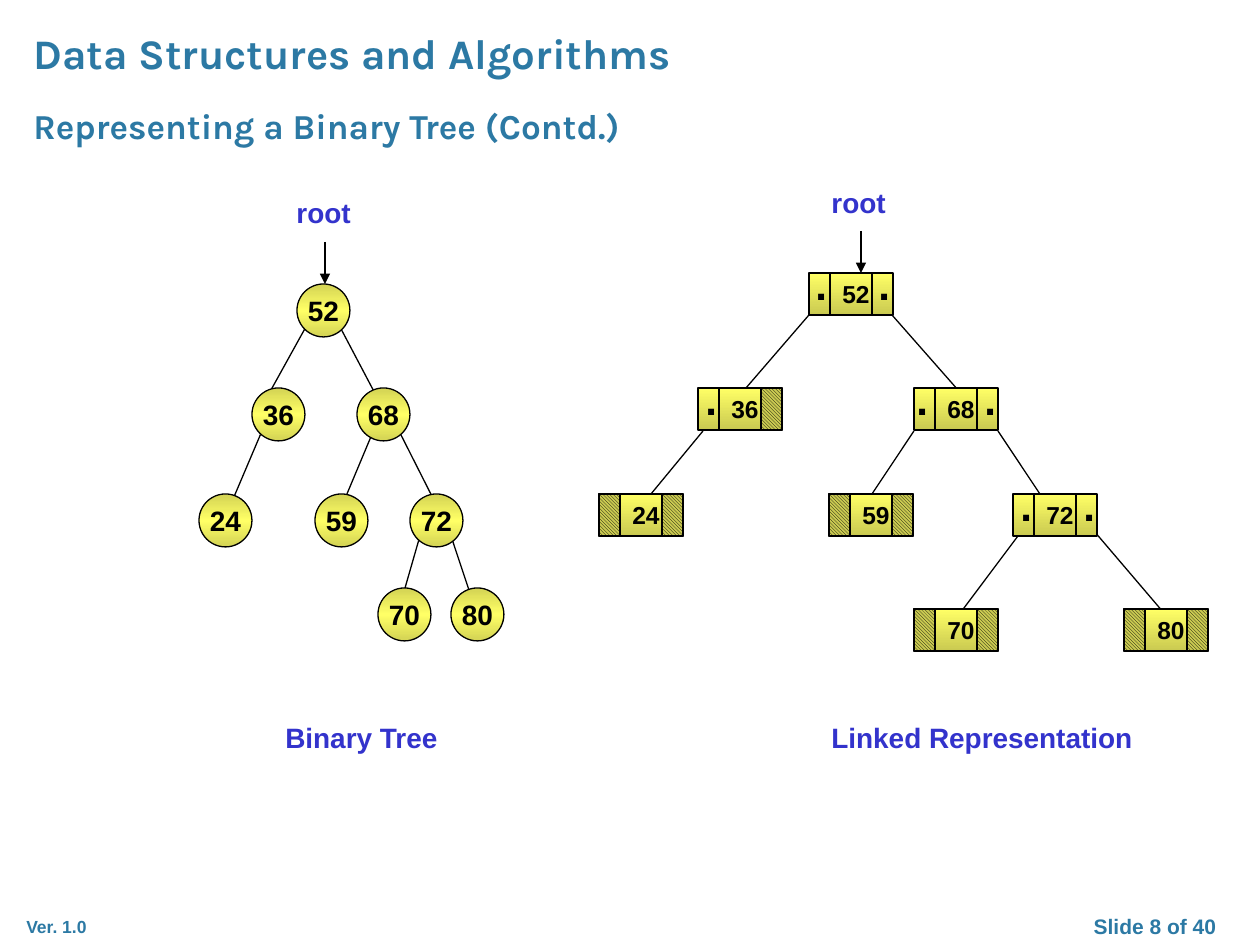
from typing import NamedTuple

from lxml import etree
from pptx import Presentation
from pptx import util as u
from pptx.dml.color import RGBColor
from pptx.enum import dml, shapes, text
from pptx.oxml.ns import qn

PX = 914400 // 126
BLACK, TEAL, BLUE = "000000", "2C79A4", "3333CC"
RECORD_FILL = ((0, "FFFF66"), (100, "CACA51"))
CIRCLE_FILL = ((0, "D3D354"), (50, "FFFF66"), (100, "D3D354"))
CIRCLE, RECORD_W, RECORD_H, FIELD = 53, 84, 42, 21


class Node(NamedTuple):
    """A tree node drawn as a circle."""
    value: str
    x: int
    y: int


class Record(NamedTuple):
    """A linked node; links holds a dot offset per side, None when null."""
    value: str
    x: int
    y: int
    left: int | None = None
    right: int | None = None


class Edge(NamedTuple):
    """A straight line between two points."""
    x1: int
    y1: int
    x2: int
    y2: int
    arrow: bool = False


class Label(NamedTuple):
    """A piece of standalone text."""
    text: str
    x: int
    y: int
    w: int
    h: int
    size: int
    color: str = BLUE
    font: str = "Arial"
    align: text.PP_ALIGN = text.PP_ALIGN.LEFT


NODES = [
    Node("52", 297, 284), Node("36", 252, 388), Node("68", 357, 388),
    Node("24", 199, 494), Node("59", 315, 494), Node("72", 410, 494),
    Node("70", 378, 588), Node("80", 451, 588),
]
RECORDS = [
    Record("52", 809, 273, -6, 57), Record("36", 698, 388, -5),
    Record("68", 914, 388, -10, 58), Record("24", 599, 494),
    Record("59", 829, 494), Record("72", 1013, 494, -5, 58),
    Record("70", 914, 609), Record("80", 1124, 609),
]
EDGES = [
    Edge(307, 325, 266, 399), Edge(339, 325, 378, 399),
    Edge(262, 431, 231, 504), Edge(378, 420, 347, 494),
    Edge(399, 431, 441, 514), Edge(420, 536, 399, 609),
    Edge(451, 536, 472, 599),
    Edge(809, 315, 746, 388), Edge(892, 315, 966, 399),
    Edge(703, 431, 651, 494), Edge(914, 431, 872, 494),
    Edge(998, 431, 1040, 494), Edge(1018, 536, 955, 620),
    Edge(1071, 504, 1187, 640),
]
ROOT_ARROWS = [Edge(325, 242, 325, 284, True), Edge(861, 231, 861, 273, True)]
LABELS = [
    Label("Data Structures and Algorithms", 21, 21, 1050, 64, 24, TEAL, "Karla"),
    Label("Representing a Binary Tree (Contd.)", 21, 98, 945, 54, 20, TEAL, "Karla"),
    Label("root", 284, 189, 84, 47, 16),
    Label("root", 819, 179, 84, 47, 16),
    Label("Binary Tree", 273, 714, 199, 42, 16),
    Label("Linked Representation", 819, 714, 357, 42, 16),
    Label("Ver. 1.0", 14, 910, 100, 34, 10, TEAL),
    Label("Slide 8 of 40", 1050, 907, 210, 38, 12, TEAL, align=text.PP_ALIGN.CENTER),
]


def rgb(color: str) -> RGBColor:
    """Turn a hex string into a colour."""
    return RGBColor.from_string(color)


def write(sp, words: str, *, size: int, color: str = BLACK, font: str = "Arial",
          align=text.PP_ALIGN.LEFT, anchor=text.MSO_ANCHOR.TOP, wrap: bool = False):
    """Put one bold formatted run into a shape."""
    tf = sp.text_frame
    tf.word_wrap, tf.vertical_anchor = wrap, anchor
    p = tf.paragraphs[0]
    p.alignment = align
    r = p.add_run()
    r.text = words
    r.font.size, r.font.bold, r.font.name = u.Pt(size), True, font
    r.font.color.rgb = rgb(color)


def add_text(s, words: str, x: int, y: int, w: int, h: int, **style):
    """Add a text box."""
    write(s.shapes.add_textbox(x * PX, y * PX, w * PX, h * PX), words, **style)


def add_line(s, edge: Edge):
    """Add a thin black line, with an arrowhead if asked for."""
    ends = [v * PX for v in edge[:4]]
    line = s.shapes.add_connector(shapes.MSO_CONNECTOR.STRAIGHT, *ends)
    line.line.color.rgb = rgb(BLACK)
    line.line.width = u.Pt(0.75)
    if edge.arrow:
        etree.SubElement(line.line._get_or_add_ln(), qn("a:tailEnd"), type="triangle")
    etree.SubElement(line._element.spPr, qn("a:effectLst"))


def add_box(s, kind, x: int, y: int, w: int, h: int):
    """Add a preset shape with a thin black outline."""
    sp = s.shapes.add_shape(kind, x * PX, y * PX, w * PX, h * PX)
    sp.shadow.inherit = False
    sp.line.color.rgb = rgb(BLACK)
    sp.line.width = u.Pt(0.75)
    return sp


def shade(sp, stops):
    """Fill a shape with a top-down gradient."""
    sp.fill.gradient()
    sp.fill.gradient_angle = 270
    gs_list = sp._element.spPr.find(qn("a:gradFill")).find(qn("a:gsLst"))
    for old in list(gs_list):
        gs_list.remove(old)
    for percent, color in stops:
        gs = etree.SubElement(gs_list, qn("a:gs"), pos=str(percent * 1000))
        etree.SubElement(gs, qn("a:srgbClr"), val=color)


def add_node(s, node: Node):
    """Draw a circle holding its value."""
    sp = add_box(s, shapes.MSO_SHAPE.OVAL, node.x, node.y, CIRCLE, CIRCLE)
    shade(sp, CIRCLE_FILL)
    write(sp, node.value, size=16, align=text.PP_ALIGN.CENTER,
          anchor=text.MSO_ANCHOR.MIDDLE)


def add_record(s, rec: Record):
    """Draw a record: link field, value, link field."""
    x, y = rec.x, rec.y
    shade(add_box(s, shapes.MSO_SHAPE.RECTANGLE, x, y, RECORD_W, RECORD_H), RECORD_FILL)
    sides = ((0, FIELD, rec.left), (RECORD_W - FIELD, RECORD_W - FIELD, rec.right))
    for field, divider, dot in sides:
        add_line(s, Edge(x + divider, y, x + divider, y + RECORD_H))
        if dot is None:
            null = add_box(s, shapes.MSO_SHAPE.RECTANGLE, x + field, y, FIELD, RECORD_H)
            null.fill.patterned()
            null.fill.pattern = dml.MSO_PATTERN.DARK_DOWNWARD_DIAGONAL
            null.fill.fore_color.rgb = rgb(BLACK)
            null.fill.back_color.rgb = rgb("CACA51")
        else:
            add_text(s, ".", x + dot, y - 21, 37, 63, size=24)
    add_text(s, rec.value, x + FIELD, y, 53, RECORD_H, size=14)


def main():
    """Build and save the slide."""
    prs = Presentation()
    prs.slide_width, prs.slide_height = u.Inches(10), u.Inches(7.5)
    s = prs.slides.add_slide(prs.slide_layouts[6])
    for edge in EDGES:
        add_line(s, edge)
    for rec in RECORDS:
        add_record(s, rec)
    for node in NODES:
        add_node(s, node)
    for arrow in ROOT_ARROWS:
        add_line(s, arrow)
    for words, x, y, w, h, size, color, font, align in LABELS:
        add_text(s, words, x, y, w, h, size=size, color=color, font=font,
                 align=align, wrap=True)
    prs.save("out.pptx")


main()
